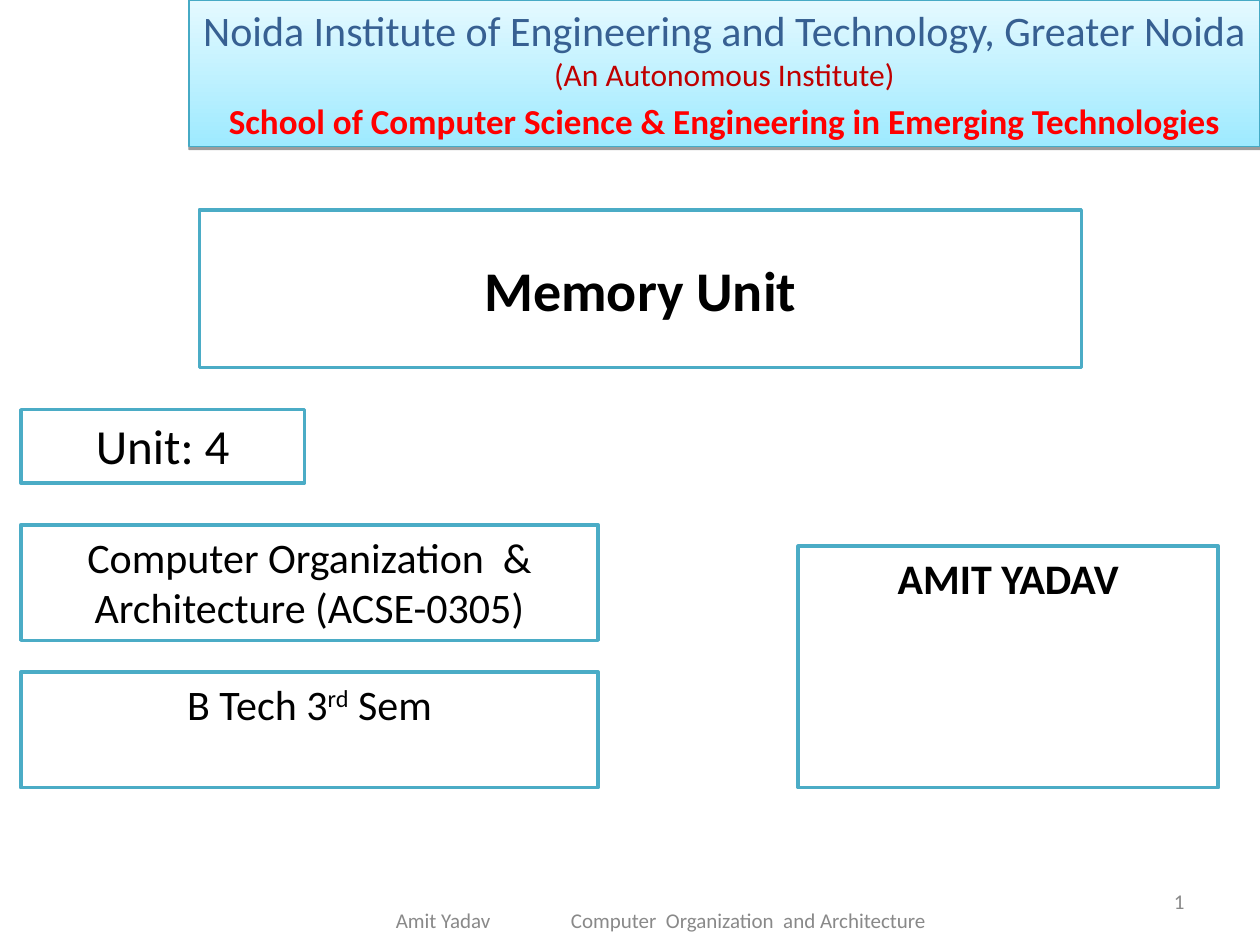
from dataclasses import dataclass

from lxml import etree
from pptx import Presentation
from pptx.dml.color import RGBColor
from pptx.enum.shapes import MSO_SHAPE as Shape
from pptx.enum.text import MSO_ANCHOR as Anchor, PP_ALIGN as Align
from pptx.oxml import parse_xml
from pptx.oxml.ns import nsdecls, qn
from pptx.util import Cm, Pt

FONT = "Calibri"
COLORS = {
    "white": "FFFFFF",
    "black": "000000",
    "border": "4BACC6",
    "banner_border": "46AAC5",
    "banner_dark": "9EEAFF",
    "banner_light": "E4F9FF",
    "institute": "376092",
    "autonomous": "C00000",
    "school": "FF0000",
    "footer": "898989",
}


@dataclass
class Panel:
    """A white bordered box with one line of text; lengths in cm."""
    left: float
    top: float
    width: float
    height: float
    text: str
    size: float = 24
    bold: bool = False
    anchor: Anchor = Anchor.TOP


PANELS = [
    Panel(4.02, 4.23, 17.78, 3.18, "Memory Unit", 32, True, Anchor.MIDDLE),
    Panel(16.09, 11.01, 8.47, 4.87, "AMIT YADAV", bold=True),
    Panel(0.42, 8.26, 5.72, 1.48, "Unit: 4", 28),
    Panel(0.42, 10.58, 11.64, 2.33, "Computer Organization  & Architecture (ACSE-0305)"),
]
SEMESTER = Panel(0.42, 13.55, 11.64, 2.33, "B Tech 3")


def rgb(name: str) -> RGBColor:
    return RGBColor.from_string(COLORS[name])


def add_span(para, text: str, *, size: float = 24, color: str = "black",
             bold: bool = False, baseline: int = 0):
    span = para.add_run()
    span.text = text
    span.font.name = FONT
    span.font.size = Pt(size)
    span.font.bold = bold
    span.font.color.rgb = rgb(color)
    if baseline:
        span.font._element.set("baseline", str(baseline * 1000))
    return span


def set_frame(box, anchor: Anchor, align: Align):
    """Prepare the text frame and return its first paragraph."""
    frame = box.text_frame
    frame.word_wrap = True
    frame.vertical_anchor = anchor
    para = frame.paragraphs[0]
    para.alignment = align
    return para


def add_box(page, left: float, top: float, width: float, height: float,
            border: str, weight: float):
    box = page.shapes.add_shape(Shape.RECTANGLE, Cm(left), Cm(top), Cm(width), Cm(height))
    box.shadow.inherit = False
    box.line.color.rgb = rgb(border)
    box.line.width = Pt(weight)
    return box


def add_panel(page, panel: Panel):
    box = add_box(page, panel.left, panel.top, panel.width, panel.height, "border", 2)
    box.fill.solid()
    box.fill.fore_color.rgb = rgb("white")
    para = set_frame(box, panel.anchor, Align.CENTER)
    add_span(para, panel.text, size=panel.size, bold=panel.bold)
    return box


def add_banner(page) -> None:
    banner = add_box(page, 3.81, 0, 21.59, 2.96, "banner_border", 0.75)
    banner.fill.gradient()
    banner.fill.gradient_angle = 90
    for stop, name, position in zip(banner.fill.gradient_stops,
                                    ("banner_dark", "banner_light"), (0, 1)):
        stop.color.rgb = rgb(name)
        stop.position = position

    # Thin shadow straight below the banner
    effects = banner._element.spPr.find(qn("a:effectLst"))
    effects.append(parse_xml(
        f'<a:outerShdw {nsdecls("a")} blurRad="0" dist="20000" dir="5400000" rotWithShape="0">'
        f'<a:srgbClr val="{COLORS["black"]}"><a:alpha val="38000"/></a:srgbClr></a:outerShdw>'))

    para = set_frame(banner, Anchor.MIDDLE, Align.CENTER)
    add_span(para, "Noida Institute of Engineering and Technology, Greater Noida",
             color="institute")
    para = banner.text_frame.add_paragraph()
    para.alignment = Align.CENTER
    add_span(para, "(An Autonomous Institute)", size=18, color="autonomous")
    para = banner.text_frame.add_paragraph()
    para.alignment = Align.CENTER
    para.space_before = Pt(4)
    add_span(para, "School of Computer Science & Engineering in Emerging Technologies",
             size=20, color="school", bold=True)


def add_label(page, left: float, top: float, width: float, text: str,
              align: Align, tab: float = 0, inset: float = 0.25) -> None:
    """Add a grey footer label, with an optional tab stop in cm."""
    box = page.shapes.add_textbox(Cm(left), Cm(top), Cm(width), Cm(1.02))
    box.text_frame.margin_left = Cm(inset)
    para = set_frame(box, Anchor.MIDDLE, align)
    if tab:
        tabs = etree.SubElement(para._p.get_or_add_pPr(), qn("a:tabLst"))
        etree.SubElement(tabs, qn("a:tab"), pos=str(Cm(tab)), algn="l")
    add_span(para, text, size=12, color="footer")


def main() -> None:
    deck = Presentation()
    deck.slide_width, deck.slide_height = Cm(25.4), Cm(19.05)
    page = deck.slides.add_slide(deck.slide_layouts[6])

    # Topic, lecturer, unit and course
    for panel in PANELS:
        add_panel(page, panel)

    # Semester with a raised ordinal
    para = add_panel(page, SEMESTER).text_frame.paragraphs[0]
    add_span(para, "rd", baseline=30)
    add_span(para, " Sem")

    add_banner(page)

    # Slide number and footer
    add_label(page, 18.2, 17.65, 5.93, "1", Align.RIGHT)
    add_label(page, 6.35, 18.03, 13.97,
              "Amit Yadav\tComputer  Organization  and Architecture",
              Align.LEFT, tab=3.53, inset=1.63)

    deck.save("out.pptx")


if __name__ == "__main__":
    main()
